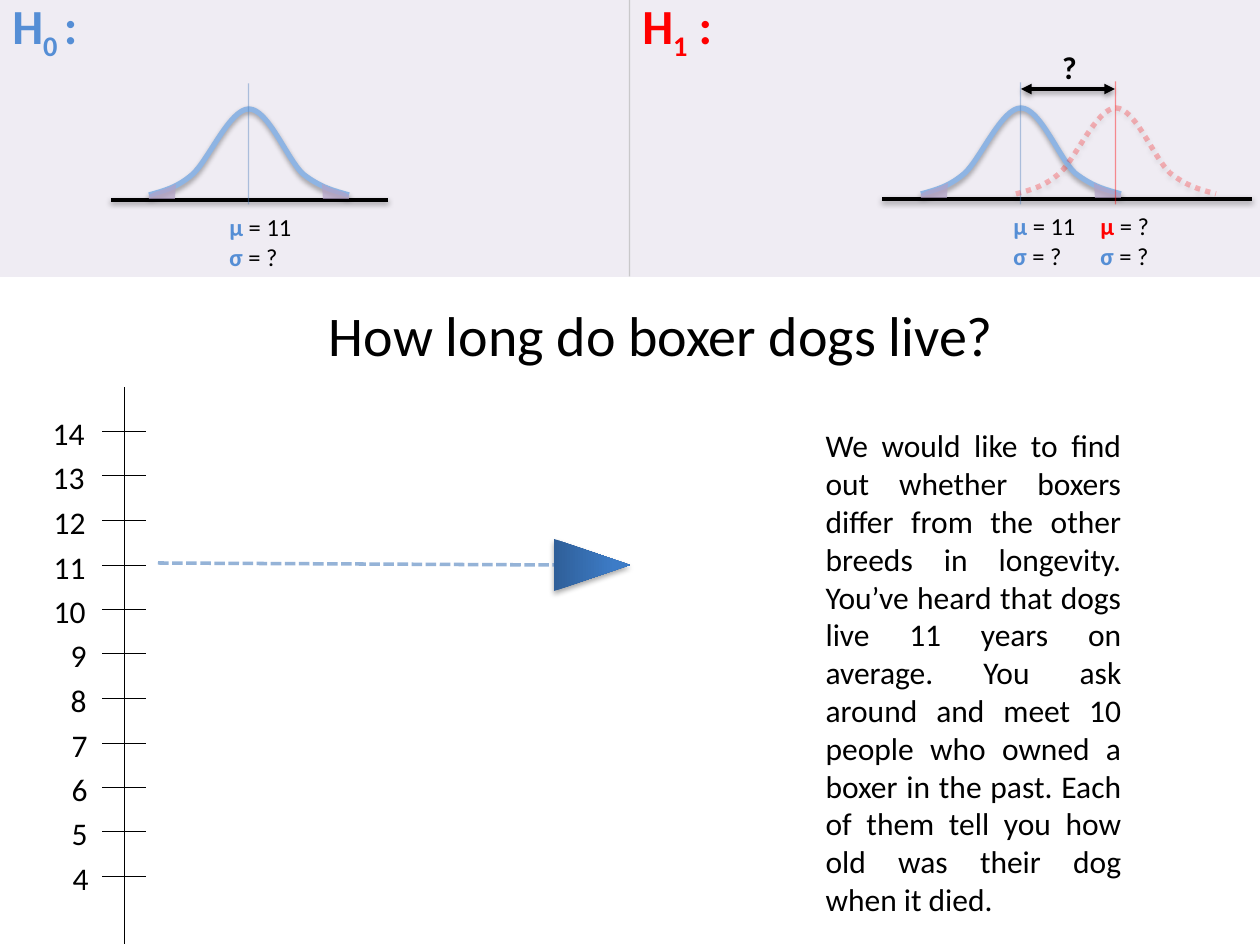
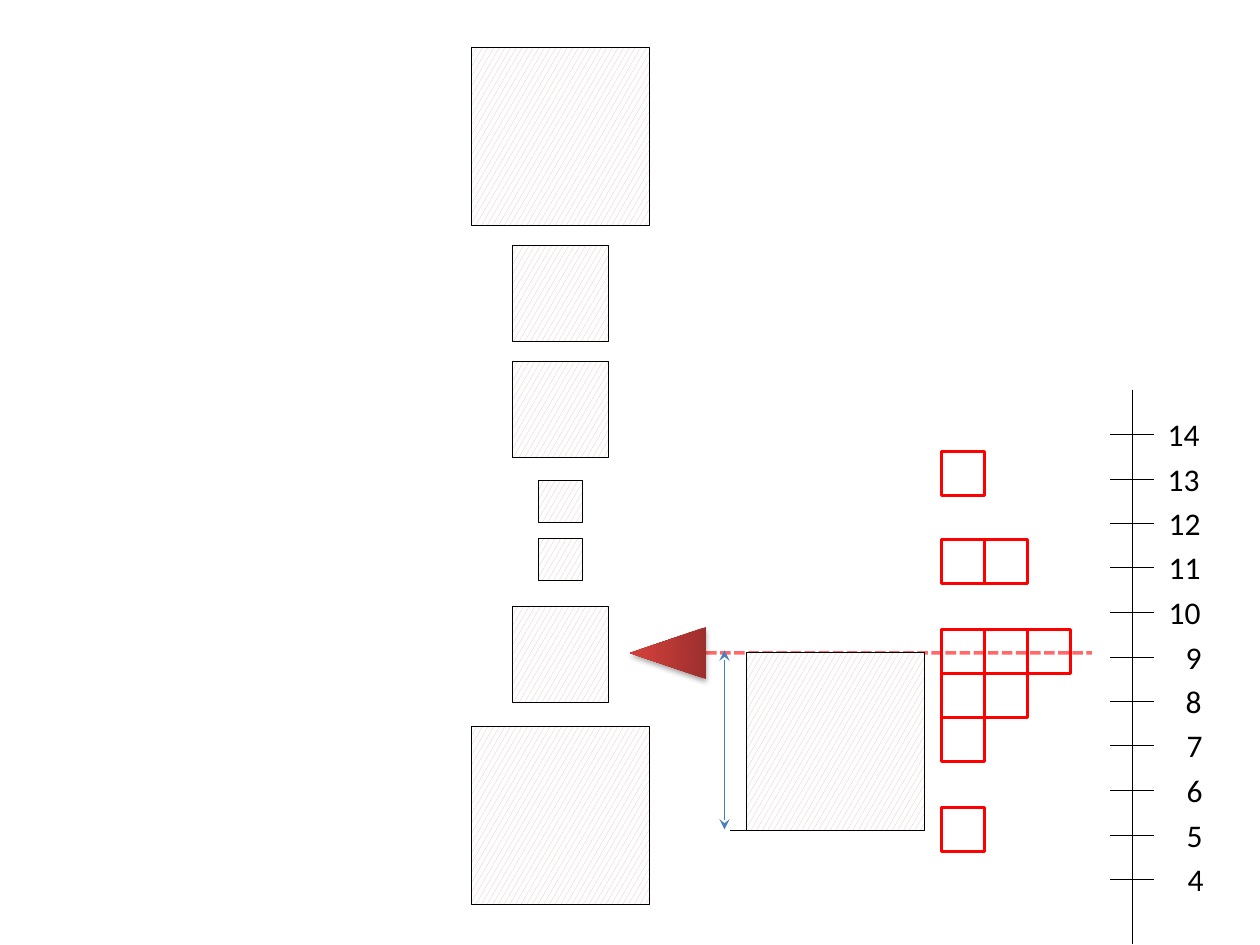
from lxml import etree
from pptx import Presentation
from pptx import util as u
from pptx.dml.color import RGBColor
from pptx.enum import dml, shapes, text
from pptx.oxml.ns import qn

SCALE = 914400 / 126          # EMU per px
HALF = 0.5                    # centres a thin line on its pixel
FONT = "Calibri"
BLACK, RED, WHITE = "000000", "FF0000", "FFFFFF"
BLUE, CURVE, STEEL = "558ED5", "8EB4E3", "4B7EBC"
LILAC, GREY, PINK = "B3A2C7", "BFBFBF", "E6B9B8"
DASH, DOT = dml.MSO_LINE.SQUARE_DOT, dml.MSO_LINE.ROUND_DOT
CENTER, RIGHT, JUSTIFY = (text.PP_ALIGN.CENTER, text.PP_ALIGN.RIGHT,
                          text.PP_ALIGN.JUSTIFY)
TOP_YEAR, LOW_YEAR, YEAR_STEP = 14, 4, 44.5

# Bell outline as offsets from its peak: a start and cubic segments
BELL_START = (-100, 86)
BELL_CURVES = [((-86, 82), (-72, 79), (-56, 65)), ((-40, 50), (-19, 0), (0, 0)),
               ((19, 0), (38, 50), (54, 65)), ((72, 79), (86, 82), (100, 86))]
TAIL = [(-100, 86), (-94, 83), (-87, 81), (-79, 78), (-73, 75), (-74, 90), (-100, 90)]


def px(n):
    return u.Emu(round(n * SCALE))


def rgb(color):
    return RGBColor.from_string(color)


# ---- formatting ----
def fade(sp, percent):
    clr = sp._element.spPr.find(".//" + qn("a:srgbClr"))
    etree.SubElement(clr, qn("a:alpha"), val=str(percent * 1000))


def set_effects(sp, dist=0, percent=35):
    """Replace the theme shadow by a soft one below, or by none."""
    effects = etree.SubElement(sp._element.spPr, qn("a:effectLst"))
    if dist:
        shadow = etree.SubElement(effects, qn("a:outerShdw"), blurRad="40000",
                                  dist=str(dist), dir="5400000", rotWithShape="0")
        clr = etree.SubElement(shadow, qn("a:srgbClr"), val=BLACK)
        etree.SubElement(clr, qn("a:alpha"), val=str(percent * 1000))


def set_line(sp, color, width, dash=None, alpha=None):
    sp.line.color.rgb = rgb(color)
    sp.line.width = u.Pt(width)
    if dash:
        sp.line.dash_style = dash
    if alpha:
        fade(sp, alpha)


def write(tf, paras, align=None, size=18, **fmt):
    """Each paragraph is a list of (text, color, format) runs."""
    tf.word_wrap = True
    tf.auto_size = text.MSO_AUTO_SIZE.NONE
    for i, runs in enumerate(paras):
        p = tf.paragraphs[0] if i == 0 else tf.add_paragraph()
        p.alignment = align
        p.space_before = u.Pt(0)
        for words, color, own in runs:
            r = p.add_run()
            r.text = words
            r.font.color.rgb = rgb(color)
            values = {"name": FONT, "size": u.Pt(size), **fmt, **own}
            sub = values.pop("sub", False)
            for name, value in values.items():
                setattr(r.font, name, value)
            if sub:
                r._r.get_or_add_rPr().set("baseline", "-25000")


# ---- elements ----
def place(sp, x, y, w, h):
    for name, value in zip(("left", "top", "width", "height"), (x, y, w, h)):
        setattr(sp, name, px(value))


def add_text(s, x, y, w, h, paras, anchor=text.MSO_ANCHOR.TOP, **fmt):
    tf = s.shapes.add_textbox(px(x), px(y), px(w), px(h)).text_frame
    write(tf, paras, **fmt)
    tf.vertical_anchor = anchor


def add_line(s, x1, y1, x2, y2, color=BLACK, width=0.75, dash=None, alpha=None,
             heads=None, shadow=False):
    shift = HALF if width <= 1 else 0
    ends = [px(n - shift) for n in (x1, y1, x2, y2)]
    sp = s.shapes.add_connector(shapes.MSO_CONNECTOR.STRAIGHT, *ends)
    set_line(sp, color, width, dash, alpha)
    if heads:
        ln = sp._element.spPr.find(qn("a:ln"))
        for end in ("a:headEnd", "a:tailEnd"):
            etree.SubElement(ln, qn(end), type=heads)
    set_effects(sp, 20000 if shadow else 0, 38)


def add_box(s, x, y, w, h, fill=None, line=None, width=0.75, alpha=None, hatch=False):
    shift = HALF if line else 0
    sp = s.shapes.add_shape(shapes.MSO_SHAPE.RECTANGLE, px(x - shift), px(y - shift),
                            px(w), px(h))
    if hatch:
        sp.fill.patterned()
        sp.fill.pattern = dml.MSO_PATTERN.LARGE_CONFETTI
        sp.fill.fore_color.rgb = rgb(PINK)
        sp.fill.back_color.rgb = rgb(WHITE)
    elif fill:
        sp.fill.solid()
        sp.fill.fore_color.rgb = rgb(fill)
    else:
        sp.fill.background()
    if alpha:
        fade(sp, alpha)
    if line:
        set_line(sp, line, width)
    else:
        sp.line.fill.background()
    set_effects(sp)


def add_pointer(s, x, y, rotation, colors):
    sp = s.shapes.add_shape(shapes.MSO_SHAPE.ISOSCELES_TRIANGLE,
                            px(x), px(y), px(52), px(76))
    sp.rotation = rotation
    sp.fill.gradient()
    sp.fill.gradient_angle = 90
    for stop, pos, color in zip(sp.fill.gradient_stops, (0, 0.8), colors):
        stop.position = pos
        stop.color.rgb = rgb(color)
    sp.line.fill.background()
    set_effects(sp, 23000)


def add_outline(s, points, close):
    pts = [(px(x), px(y)) for x, y in points]
    builder = s.shapes.build_freeform(*pts[0])
    builder.add_line_segments(pts[1:], close=close)
    return builder.convert_to_shape()


def add_bell(s, cx, top, color, dash=None, alpha=None):
    knots = [BELL_START] + [curve[-1] for curve in BELL_CURVES]
    sp = add_outline(s, [(cx + x, top + y) for x, y in knots], False)
    # Bend each straight segment into its cubic
    segments = list(sp._element.iter(qn("a:lnTo")))
    for segment, curve in zip(segments, BELL_CURVES):
        segment.tag = qn("a:cubicBezTo")
        segment.remove(segment[0])
        for x, y in curve:
            etree.SubElement(segment, qn("a:pt"), x=str(px(x - BELL_START[0])),
                             y=str(px(y)))
    sp.fill.background()
    set_line(sp, color, 3, dash, alpha)
    set_effects(sp, 23000)


def add_tails(s, cx, top):
    for side in (-1, 1):
        sp = add_outline(s, [(cx + side * x, top + y) for x, y in TAIL], True)
        sp.fill.solid()
        sp.fill.fore_color.rgb = rgb(LILAC)
        fade(sp, 70)
        sp.line.fill.background()
        set_effects(sp)


def add_mean(s, x, y, color):
    add_line(s, x, y, x, 205, color, alpha=42)


def add_hypothesis(s, x, color, index, colon):
    bold = {"bold": True}
    add_text(s, x, -11, 630, 72, [[("H", color, bold), (index, color, {**bold, "sub": True}),
                                   (colon, color, bold)]], size=28)


def add_parameters(s, x, y, color, mean):
    bold = {"bold": True}
    add_text(s, x, y, 130, 50, [[("µ", color, bold), (f" = {mean}", BLACK, {})],
                                [("σ", BLUE, bold), (" = ?", BLACK, {})]], size=14)


def year_y(year, top):
    return round(top + YEAR_STEP * (TOP_YEAR - year))


def add_year_axis(s, x, top, label_x, label_rise):
    for year in range(LOW_YEAR, TOP_YEAR + 1):
        y = year_y(year, top)
        add_line(s, x - 22, y, x + 22, y)
        add_text(s, label_x + round((6 - year) * 0.4), y - label_rise, 100, 44,
                 [[(str(year), BLACK, {})]], text.MSO_ANCHOR.MIDDLE, align=RIGHT)
    add_line(s, x, top - 44, x, 945)


# ---- slides ----
def build_question(prs):
    s = prs.slides.add_slide(prs.slide_layouts[1])
    title, body = s.placeholders
    place(title, 126, 294, 1071, 81)
    write(title.text_frame, [[("How long do boxer dogs live?", BLACK, {})]],
          CENTER, size=32)
    place(body, 813, 420, 321, 509)
    write(body.text_frame, [[(
        "We would like to find out whether boxers differ from the other breeds in "
        "longevity. You’ve heard that dogs live 11 years on average. You ask around "
        "and meet 10 people who owned a boxer in the past. Each of them tell you how "
        "old was their dog when it died.", BLACK, {})]], JUSTIFY)
    pPr = body.text_frame.paragraphs[0]._p.get_or_add_pPr()
    pPr.set("marL", "0")
    pPr.set("indent", "0")
    etree.SubElement(pPr, qn("a:buNone"))

    # Hypothesis band
    add_box(s, 0, 0, 1260, 277, fill=LILAC, alpha=20)
    add_hypothesis(s, 0, BLUE, "0 ", ":")
    add_hypothesis(s, 630, RED, "1", " :")

    # Age axis with the expected mean
    add_pointer(s, 566, 527, 90, ("2F5F99", "3D7CC7"))
    add_line(s, 158, 563, 554, 565, STEEL, 2, DASH, 58)
    add_year_axis(s, 125, 432, 0, 21)

    # Distributions under each hypothesis
    for cx, top, x1, x2 in ((1021, 108, 882, 1252), (249, 109, 111, 388)):
        add_line(s, x1, top + 91, x2, top + 91, width=2, shadow=True)
        add_bell(s, cx, top, CURVE)
        add_mean(s, cx, top - 25, STEEL)
        add_tails(s, cx, top)
    add_bell(s, 1116, 108, RED, DOT, 26)
    add_line(s, 1021, 89, 1115, 89, width=2, heads="triangle", shadow=True)
    add_mean(s, 1116, 82, RED)
    for x, y, color, mean in ((1001, 205, BLUE, "11"), (1088, 205, RED, "?"),
                              (217, 206, BLUE, "11")):
        add_parameters(s, x, y, color, mean)
    add_line(s, 630, 0, 630, 277, GREY, alpha=79)
    add_text(s, 1040, 42, 59, 50, [[("?", BLACK, {"bold": True})]], align=CENTER)


def build_squares(prs):
    s = prs.slides.add_slide(prs.slide_layouts[6])
    axis_top, mean_y = 435, 653
    add_year_axis(s, 1133, axis_top, 1115, 23)

    # One cell per dog
    for year, dogs in {13: 1, 11: 2, 9: 3, 8: 2, 7: 1, 5: 1}.items():
        for col in range(dogs):
            add_box(s, 942 + 43 * col, year_y(year, axis_top) - 28, 43, 44,
                    line=RED, width=1.5)

    # Sample mean and one deviation
    add_line(s, 706, mean_y, 1092, mean_y, RED, 2, DASH, 58)
    add_pointer(s, 642, 615, 270, ("9C2F2D", "CB3E3A"))
    add_line(s, 725, 651, 725, 830, STEEL, 1, heads="stealth")
    add_line(s, 731, 831, 924, 831, width=0.5)
    add_box(s, 747, mean_y, 178, 178, line=BLACK, hatch=True)

    # Column of squared deviations
    for y, w, h in ((48, 178, 178), (246, 96, 96), (362, 96, 96), (481, 44, 42),
                    (539, 44, 42), (607, 96, 96), (727, 178, 178)):
        add_box(s, 561 - w // 2, y, w, h, line=BLACK, hatch=True)


def main():
    prs = Presentation()
    prs.slide_width, prs.slide_height = px(1260), px(945)
    build_question(prs)
    build_squares(prs)
    prs.save("out.pptx")


if __name__ == "__main__":
    main()
